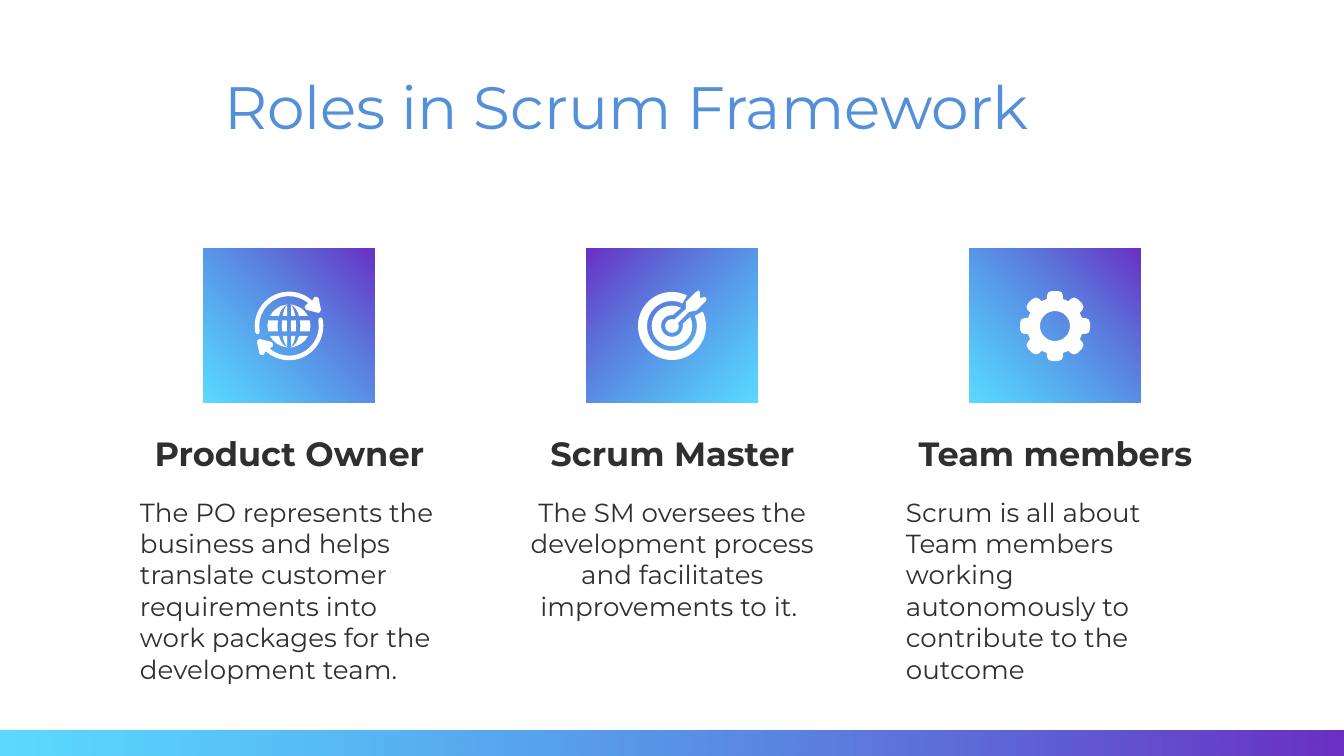
from math import asin, ceil, cos, degrees, floor, radians, sin, tan

from lxml import etree
from pptx import Presentation
from pptx.dml.color import RGBColor
from pptx.enum.shapes import MSO_SHAPE as Shape
from pptx.enum.text import MSO_ANCHOR as Anchor, MSO_AUTO_SIZE as AutoSize, PP_ALIGN as Align
from pptx.oxml.ns import qn
from pptx.util import Pt

EMU_PER_PX = 914400 / 134.4
FONT = "Montserrat"
PURPLE = RGBColor(0x69, 0x30, 0xC3)
CYAN = RGBColor(0x00, 0xC4, 0xFF)
CYAN_ALPHA = 64
BLUE = RGBColor(0x53, 0x90, 0xD9)
INK = RGBColor(0x2F, 0x2F, 0x2F)
WHITE = RGBColor(0xFF, 0xFF, 0xFF)

SLIDE_W, SLIDE_H = 1344, 756
COLUMN_X, COLUMN_STEP, COLUMN_W = 127, 383, 325
TILE_Y, TILE_W, TILE_H = 249, 171, 154
GLOBE_R = 21.5


def px(n):
    return round(n * EMU_PER_PX)


def write(shape, text, size, color=INK, bold=False, align=Align.LEFT, anchor=Anchor.TOP):
    """Fill a text shape with one formatted paragraph."""
    tf = shape.text_frame
    tf.word_wrap = True
    tf.auto_size = AutoSize.NONE
    tf.vertical_anchor = anchor
    tf.margin_left = tf.margin_top = tf.margin_right = tf.margin_bottom = px(13)
    p = tf.paragraphs[0]
    p.alignment = align
    r = p.add_run()
    r.text = text
    r.font.name = FONT
    r.font.size = Pt(size)
    r.font.bold = bold
    r.font.color.rgb = color


def add_text(s, x, y, w, h, text, **style):
    write(s.shapes.add_textbox(px(x), px(y), px(w), px(h)), text, **style)


def add_gradient_box(s, x, y, w, h, corner=None):
    """Purple radiates from a top corner, or lies at the right end without one."""
    sp = s.shapes.add_shape(Shape.RECTANGLE, px(x), px(y), px(w), px(h))
    sp.shadow.inherit = False
    sp.line.fill.background()
    grad = etree.Element(qn("a:gradFill"), rotWithShape="1")
    stops = etree.SubElement(grad, qn("a:gsLst"))
    ends = [(PURPLE, 100), (CYAN, CYAN_ALPHA)]
    for pos, (color, alpha) in zip((0, 100000), ends if corner else ends[::-1]):
        stop = etree.SubElement(stops, qn("a:gs"), pos=str(pos))
        clr = etree.SubElement(stop, qn("a:srgbClr"), val=str(color))
        etree.SubElement(clr, qn("a:alpha"), val=str(alpha * 1000))
    if corner:
        left, right = ("0", "100000") if corner == "left" else ("100000", "0")
        path = etree.SubElement(grad, qn("a:path"), path="circle")
        etree.SubElement(path, qn("a:fillToRect"), l=left, t="0", r=right, b="100000")
    else:
        etree.SubElement(grad, qn("a:lin"), ang="0", scaled="0")
    sp._element.spPr.find(qn("a:prstGeom")).addnext(grad)


def lines(*points):
    return [(p,) for p in points]


def arc(radius, start, end, stretch=1):
    """A line to the start, then Bezier pieces cut at the axes; degrees clockwise."""
    low, high = sorted((start, end))
    cuts = [low, *range(90 * (floor(low / 90) + 1), 90 * ceil(high / 90), 90), high]
    cuts = cuts if start < end else cuts[::-1]

    def at(angle, lean=0):
        c, n = cos(radians(angle)), sin(radians(angle))
        return radius * (c - lean * n) * stretch, radius * (n + lean * c)

    pieces = [(at(start),)]
    for a, b in zip(cuts, cuts[1:]):
        lean = 4 / 3 * tan(radians(b - a) / 4)
        pieces.append((at(a, lean), at(b, -lean), at(b)))
    return pieces


def rotate(contour, angle):
    c, n = cos(radians(angle)), sin(radians(angle))
    return [tuple((x * c - y * n, x * n + y * c) for x, y in piece) for piece in contour]


def add_outline(shapes, center, *contours):
    """White freeform; a piece of one point is a line, of three a curve."""
    cx, cy = center
    builder = None
    for contour in contours:
        points = [(px(cx + x), px(cy + y)) for piece in contour for x, y in piece]
        if builder is None:
            builder = shapes.build_freeform(*points[0])
        else:
            builder.move_to(*points[0])
        builder.add_line_segments(points[1:])
    sp = builder.convert_to_shape()
    steps = iter(list(sp._element.iter(qn("a:lnTo"))))
    for piece in (piece for contour in contours for piece in contour[1:]):
        step = next(steps)
        if len(piece) == 3:
            step.tag = qn("a:cubicBezTo")
            for extra in (next(steps), next(steps)):
                step.append(extra[0])
                extra.getparent().remove(extra)
    sp.shadow.inherit = False
    sp.fill.solid()
    sp.fill.fore_color.rgb = WHITE
    sp.line.fill.background()


def add_globe(s, center):
    shapes = s.shapes.add_group_shape().shapes
    head = lines((23, -25), (25.5, -29), (27.5, -29), (29.5, -28), (32, -16), (31, -14),
                 (29.5, -13), (17.4, -16), (16, -18), (16, -20))
    tail = [((-29, 9), (-33, 9.5), (-33.8, 6))]
    arrow = arc(34.3, 170, 313) + head + arc(29.8, 310, 170) + tail
    for turn in (0, 180):
        add_outline(shapes, center, rotate(arrow, turn))

    edge, belt = degrees(asin(10 / GLOBE_R)), degrees(asin(5.5 / GLOBE_R))
    for start, end, inner_start, inner_end in (
            (-84, -edge, -73, -edge), (-belt, belt, -belt, belt), (edge, 84, edge, 73)):
        outer = arc(GLOBE_R, start, end) + arc(GLOBE_R, end, start, stretch=0.53)
        curve = arc(GLOBE_R, inner_start, inner_end, stretch=0.33)
        inner = curve + lines((2, curve[-1][-1][1]), (2, curve[0][0][1]))
        for cell in (outer, inner):
            for side in (-1, 1):
                add_outline(shapes, center,
                            [tuple((side * x, y) for x, y in piece) for piece in cell])


def add_target(s, center):
    shapes = s.shapes.add_group_shape().shapes
    dart = lines((2, -6), (14, -17), (14, -24), (16, -26), (24, -34), (27, -35.5),
                 (28, -33), (28, -28), (33, -29), (34.5, -27), (34, -25), (25, -16),
                 (24, -15.5), (17, -14), (6, -3))
    add_outline(shapes, center, arc(6.8, -27, 288) + dart)
    add_outline(shapes, center, arc(20.3, -26, 297) + arc(11, 275, -11))
    add_outline(shapes, center, arc(34, -25, 296) + arc(25, 295, -24))


def add_gear(s, center):
    tooth = [((27, -8),), ((30.5, -8),), ((33, -8), (35, -6), (35, -3)),
             ((35, 3),), ((35, 6), (33, 8), (30.5, 8)), ((27, 8),)]
    rim = [piece for k in range(8) for piece in rotate(tooth, 45 * k)]
    add_outline(s.shapes, center, rim, arc(15, 360, 0))


ROLES = [
    ("Product Owner", "The PO represents the business and helps translate customer "
     "requirements into work packages for the development team.",
     Align.LEFT, "right", add_globe),
    ("Scrum Master", "The SM oversees the development process and facilitates "
     "improvements to it. ", Align.CENTER, "left", add_target),
    ("Team members", "Scrum is all about Team members working autonomously to "
     "contribute to the outcome", Align.LEFT, "right", add_gear),
]


def add_role(s, x, name, duty, align, corner, add_icon):
    middle = x + COLUMN_W // 2
    add_gradient_box(s, middle - TILE_W // 2, TILE_Y, TILE_W, TILE_H, corner)
    add_icon(s, (middle, TILE_Y + TILE_H // 2))
    add_text(s, x, 426, COLUMN_W, 55, name, size=18, bold=True,
             align=Align.CENTER, anchor=Anchor.MIDDLE)
    add_text(s, x, 483, COLUMN_W, 159, duty, size=14, align=align)


def main():
    prs = Presentation()
    prs.slide_width, prs.slide_height = px(SLIDE_W), px(SLIDE_H)
    s = prs.slides.add_slide(prs.slide_layouts[5])
    add_gradient_box(s, 0, 731, SLIDE_W, 25)
    title = s.shapes.title
    title.left, title.top, title.width, title.height = px(211), px(57), px(922), px(85)
    write(title, "Roles in Scrum Framework", size=32, color=BLUE)
    for i, role in enumerate(ROLES):
        add_role(s, COLUMN_X + i * COLUMN_STEP, *role)
    prs.save("out.pptx")


if __name__ == "__main__":
    main()
